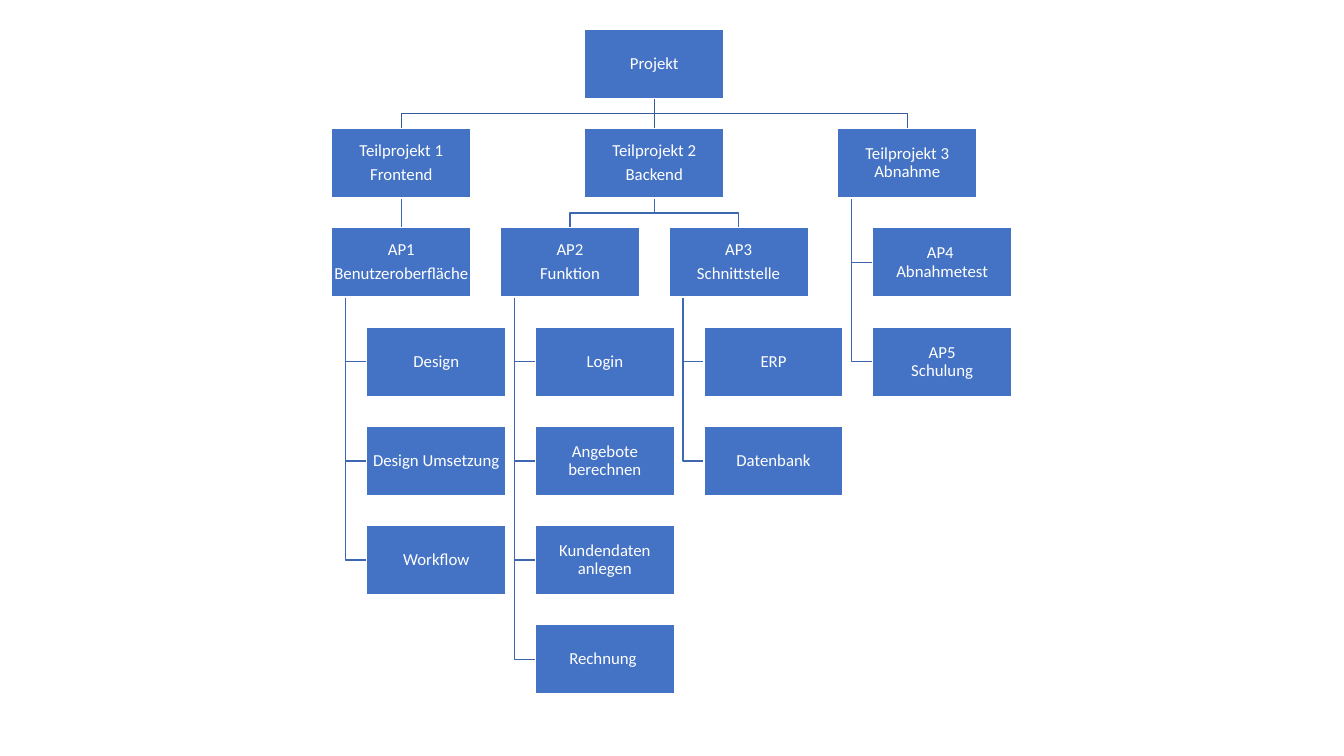
from dataclasses import dataclass, field

from lxml.etree import SubElement
from pptx import Presentation
from pptx.dml.color import RGBColor
from pptx.enum.shapes import MSO_CONNECTOR, MSO_SHAPE
from pptx.enum.text import MSO_ANCHOR, PP_ALIGN
from pptx.oxml.ns import qn
from pptx.util import Cm, Pt

COLORS = {"box": "4472C4", "white": "FFFFFF", "top_line": "365B9D", "line": "3E67B2"}
LEFT, TOP = 8.36, 0.74
COL_STEP, ROW_STEP = 4.25, 2.5
BOX_W, BOX_H = 3.51, 1.75
INDENT, SPINE = 0.88, 0.35


@dataclass
class Node:
    """A box of the chart; \\n parts paragraphs, \\v breaks a line."""
    text: str
    children: list = field(default_factory=list)
    x: float = 0
    y: float = 0

    def hangs(self):
        """Tell whether the children are stacked below each other."""
        return all(not c.children for c in self.children)


PROJECT = Node("Projekt", [
    Node("Teilprojekt 1\nFrontend", [
        Node("AP1\nBenutzeroberfläche", [
            Node("Design"), Node("Design Umsetzung"), Node("Workflow")]),
    ]),
    Node("Teilprojekt 2\nBackend", [
        Node("AP2\nFunktion", [
            Node("Login"), Node("Angebote berechnen"),
            Node("Kundendaten anlegen"), Node("Rechnung ")]),
        Node("AP3\nSchnittstelle", [Node("ERP"), Node("Datenbank")]),
    ]),
    Node("Teilprojekt 3\vAbnahme", [
        Node("AP4 \vAbnahmetest"), Node("AP5\vSchulung")]),
])


def place(node, col=0, row=0):
    """Set the positions of a subtree and return the next free column."""
    node.y = TOP + row * ROW_STEP
    if node.hangs():
        node.x = LEFT + col * COL_STEP
        for i, child in enumerate(node.children, 1):
            child.x, child.y = node.x + INDENT, node.y + i * ROW_STEP
        return col + 1
    for child in node.children:
        col = place(child, col, row + 1)
    node.x = (node.children[0].x + node.children[-1].x) / 2
    return col


def walk(node):
    """Yield a node and all nodes below it."""
    yield node
    for child in node.children:
        yield from walk(child)


def add_line(slide, points, color):
    """Draw a straight or bent line through points given in cm."""
    pts = [(Cm(x), Cm(y)) for x, y in points]
    if len(pts) == 2:
        sp = slide.shapes.add_connector(MSO_CONNECTOR.STRAIGHT, *pts[0], *pts[1])
        SubElement(sp.element.spPr, qn("a:effectLst"))
    else:
        builder = slide.shapes.build_freeform(*pts[0])
        builder.add_line_segments(pts[1:], close=False)
        sp = builder.convert_to_shape()
        sp.fill.background()
        sp.shadow.inherit = False
    sp.line.color.rgb = RGBColor.from_string(COLORS[color])
    sp.line.width = Pt(1)


def add_branches(slide, node, color):
    """Link a node to each of its children."""
    bottom = node.y + BOX_H
    for child in node.children:
        if node.hangs():
            x, mid = node.x + SPINE, child.y + BOX_H / 2
            points = [(x, bottom), (x, mid), (child.x, mid)]
        else:
            x, end = node.x + BOX_W / 2, child.x + BOX_W / 2
            mid = (bottom + child.y) / 2
            points = [(x, bottom), (x, mid), (end, mid), (end, child.y)]
            if abs(x - end) < 0.01:
                points = [points[0], points[-1]]
        add_line(slide, points, color)


def add_box(slide, node):
    """Draw the box of a node with its centred text."""
    sp = slide.shapes.add_shape(
        MSO_SHAPE.RECTANGLE, Cm(node.x), Cm(node.y), Cm(BOX_W), Cm(BOX_H))
    sp.shadow.inherit = False
    sp.fill.solid()
    sp.fill.fore_color.rgb = RGBColor.from_string(COLORS["box"])
    sp.line.color.rgb = RGBColor.from_string(COLORS["white"])
    sp.line.width = Pt(1)
    tf = sp.text_frame
    tf.word_wrap = True
    tf.vertical_anchor = MSO_ANCHOR.MIDDLE
    tf.margin_left = tf.margin_right = tf.margin_top = tf.margin_bottom = Cm(0.02)
    tf.text = node.text
    for p in tf.paragraphs:
        p.alignment = PP_ALIGN.CENTER
        p.line_spacing = 0.9
        p.space_after = Pt(4.2)
        p.font.name = "Calibri"
        p.font.size = Pt(12)
        p.font.color.rgb = RGBColor.from_string(COLORS["white"])


def main():
    """Build the slide with the work breakdown chart."""
    prs = Presentation()
    prs.slide_width, prs.slide_height = Cm(33.87), Cm(19.05)
    slide = prs.slides.add_slide(prs.slide_layouts[6])
    place(PROJECT)
    nodes = list(walk(PROJECT))
    for node in nodes:
        add_branches(slide, node, "top_line" if node is PROJECT else "line")
    for node in nodes:
        add_box(slide, node)
    prs.save("out.pptx")


main()
